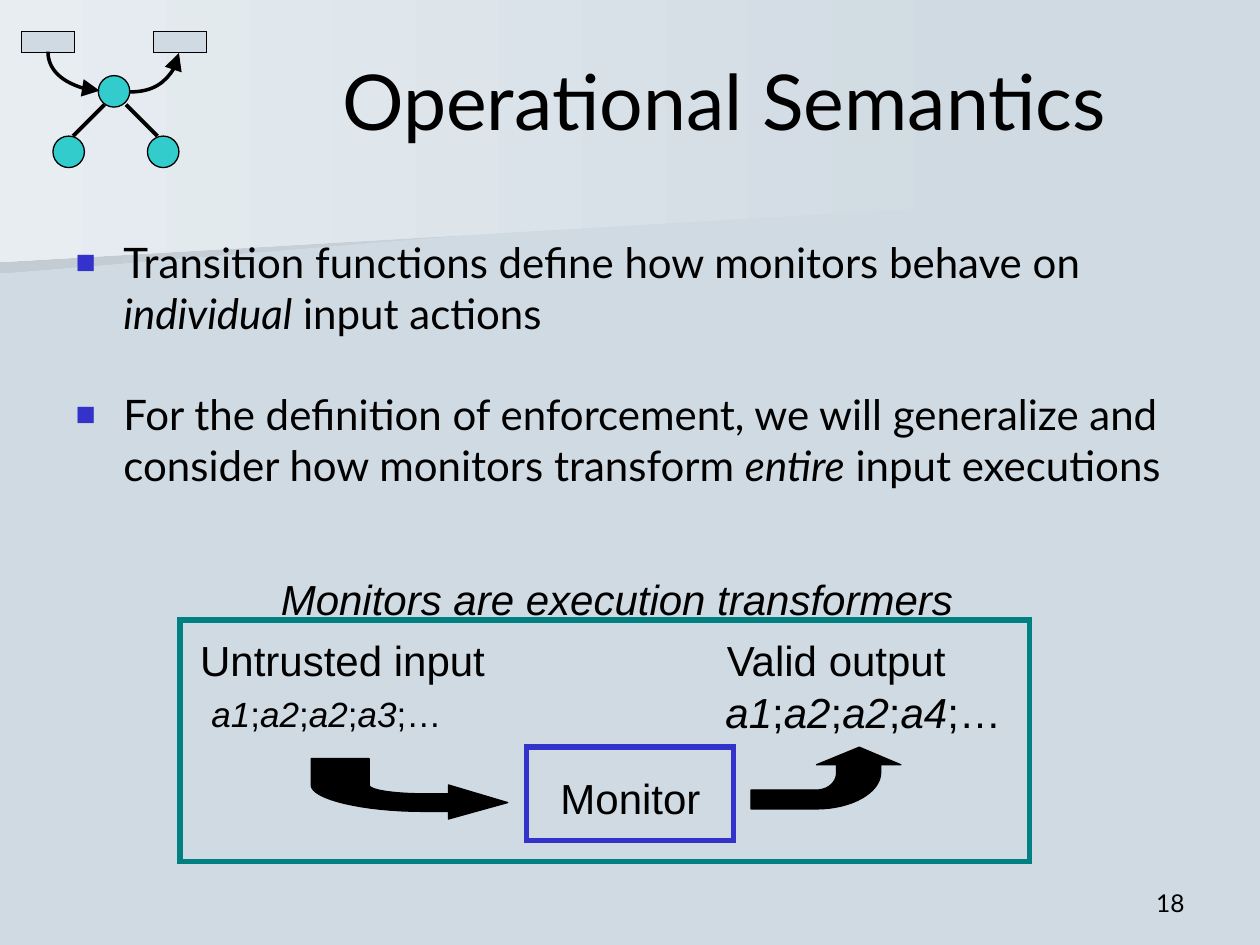
import pptx
import pptx.util
import pptx.dml.color
import pptx.enum.shapes
import pptx.enum.text
import pptx.oxml.ns
import lxml.etree

Inches = pptx.util.Inches
Pt = pptx.util.Pt
qn = pptx.oxml.ns.qn
SHAPE = pptx.enum.shapes.MSO_SHAPE
CONNECTOR = pptx.enum.shapes.MSO_CONNECTOR
ALIGN = pptx.enum.text.PP_ALIGN
ANCHOR = pptx.enum.text.MSO_ANCHOR
FIT = pptx.enum.text.MSO_AUTO_SIZE

COLORS = {"back": "D0DAE2", "light": "E7EDF1", "shade": "C3CCD3", "node": "33CCCC",
          "ink": "000000", "frame": "008080", "accent": "3333CC"}

INPUT_ARROW = [(0, 0), (0, 0.21), (0, 0.32, 0.4, 0.42, 0.9, 0.42), (1.09, 0.42),
               (1.09, 0.48), (1.56, 0.35), (1.09, 0.21), (1.09, 0.28), (0.9, 0.28),
               (0.65, 0.28, 0.46, 0.25, 0.46, 0.21), (0.46, 0)]
OUTPUT_ARROW = [(0, 0.49), (0.52, 0.49), (0.8, 0.49, 1.03, 0.36, 1.03, 0.2), (1.03, 0.14),
                (1.19, 0.14), (0.86, 0), (0.52, 0.14), (0.68, 0.14), (0.68, 0.2),
                (0.68, 0.28, 0.61, 0.34, 0.52, 0.34), (0, 0.34)]


def rgb(name):
    return pptx.dml.color.RGBColor.from_string(COLORS[name])


def set_runs(p, text, size, font):
    for i, part in enumerate(text.split("*")):
        if part:
            r = p.add_run()
            r.text = part
            r.font.size = Pt(size)
            r.font.name = font
            r.font.italic = i % 2 == 1
            r.font.color.rgb = rgb("ink")


def place(sp, x, y, w, h):
    sp.left, sp.top, sp.width, sp.height = (Inches(v) for v in (x, y, w, h))


def add_box(slide, kind, x, y, w, h, fill, line="ink", width=0.75):
    sp = slide.shapes.add_shape(kind, Inches(x), Inches(y), Inches(w), Inches(h))
    sp.shadow.inherit = False
    if fill:
        sp.fill.solid()
        sp.fill.fore_color.rgb = rgb(fill)
    else:
        sp.fill.background()
    sp.line.color.rgb = rgb(line)
    sp.line.width = Pt(width)
    ln = sp._element.spPr.find(qn("a:ln"))
    lxml.etree.SubElement(ln, qn("a:miter"), lim="800000")


def add_line(slide, kind, x1, y1, x2, y2, width):
    sp = slide.shapes.add_connector(kind, Inches(x1), Inches(y1), Inches(x2), Inches(y2))
    sp.line.color.rgb = rgb("ink")
    sp.line.width = Pt(width)
    lxml.etree.SubElement(sp._element.spPr, qn("a:effectLst"))
    return sp


def add_curve(slide, x1, y1, x2, y2, turn=0):
    sp = add_line(slide, CONNECTOR.CURVE, x1, y1, x2, y2, 2)
    spPr = sp._element.spPr
    spPr.find(qn("a:prstGeom")).set("prst", "curvedConnector2")
    spPr.find(qn("a:xfrm")).set("rot", str(turn * 60000))
    lxml.etree.SubElement(spPr.find(qn("a:ln")), qn("a:tailEnd"),
                          type="triangle", w="lg", len="lg")


def add_outline(slide, x, y, steps):
    points = [steps[0]]
    for step in steps[1:]:
        if len(step) == 2:
            points.append(step)
            continue
        ctrl = [points[-1], step[:2], step[2:4], step[4:]]
        for i in range(1, 17):
            t = i / 16
            weights = ((1 - t) ** 3, 3 * t * (1 - t) ** 2, 3 * t * t * (1 - t), t ** 3)
            points.append(tuple(sum(k * c[a] for k, c in zip(weights, ctrl)) for a in (0, 1)))
    points = [(Inches(x + px), Inches(y + py)) for px, py in points]
    fb = slide.shapes.build_freeform(*points[0], scale=1.0)
    fb.add_line_segments(points[1:], close=True)
    sp = fb.convert_to_shape()
    sp.shadow.inherit = False
    return sp


def add_label(slide, x, y, w, h, text, size=24):
    sp = slide.shapes.add_textbox(Inches(x), Inches(y), Inches(w), Inches(h))
    tf = sp.text_frame
    tf.word_wrap = True
    tf.auto_size = FIT.NONE
    set_runs(tf.paragraphs[0], text, size, "Arial")


def add_backdrop(slide, x, y):
    slide.background.fill.solid()
    slide.background.fill.fore_color.rgb = rgb("back")
    wedges = [(1.01, [(0, 0), (7.79, 0), (7.78, 0.52), (0, 1.16)], "shade"),
              (0, [(0, 0), (7.92, 0), (7.92, 1.62), (0, 2.08)], "light")]
    for dy, outline, tint in wedges:
        sp = add_outline(slide, x, y + dy, outline)
        sp.line.fill.background()
        sp.fill.gradient()
        sp.fill.gradient_angle = 180
        for stop, name, pos in zip(sp.fill.gradient_stops, ("back", tint), (0, 1)):
            stop.color.rgb = rgb(name)
            stop.position = pos


def add_emblem(slide, x, y):
    for dx, dy in ((0.25, 0.83), (1, 0.83), (0.61, 0.35)):
        add_box(slide, SHAPE.OVAL, x + dx, y + dy, 0.25, 0.25, "node")
    for dx in (0, 1.05):
        add_box(slide, SHAPE.RECTANGLE, x + dx, y, 0.42, 0.17, "back")
    for x1, x2 in ((0.66, 0.41), (0.83, 1.08)):
        add_line(slide, CONNECTOR.STRAIGHT, x + x1, y + 0.58, x + x2, y + 0.83, 2.25)
    add_curve(slide, x + 0.57, y + 0.11, x + 0.26, y + 0.52, 270)
    add_curve(slide, x + 0.86, y + 0.48, x + 1.25, y + 0.17)


def fill_title(slide, x, y, w, h, text):
    sp = slide.shapes.title
    place(sp, x, y, w, h)
    tf = sp.text_frame
    tf.auto_size = FIT.NONE
    tf.vertical_anchor = ANCHOR.MIDDLE
    p = tf.paragraphs[0]
    p.alignment = ALIGN.CENTER
    set_runs(p, text, 44, "Lato")


def fill_body(slide, x, y, w, h, items):
    sp = slide.placeholders[1]
    place(sp, x, y, w, h)
    tf = sp.text_frame
    tf.auto_size = FIT.NONE
    for i, text in enumerate(items):
        p = tf.add_paragraph() if i else tf.paragraphs[0]
        p.space_before = Pt(29.2 if i else 6)
        set_runs(p, text, 24, "Lato")
        pPr = p._p.get_or_add_pPr()
        pPr.set("marL", str(Inches(0.38)))
        pPr.set("indent", str(Inches(-0.38)))
        clr = lxml.etree.SubElement(pPr, qn("a:buClr"))
        lxml.etree.SubElement(clr, qn("a:srgbClr"), val=COLORS["accent"])
        lxml.etree.SubElement(pPr, qn("a:buSzPct"), val="80000")
        lxml.etree.SubElement(pPr, qn("a:buFont"), typeface="Arial")
        lxml.etree.SubElement(pPr, qn("a:buChar"), char="■")


def add_monitor_diagram(slide, x, y, w, h):
    add_box(slide, SHAPE.RECTANGLE, x, y, w, h, None, "frame", 3)
    add_box(slide, SHAPE.RECTANGLE, x + 2.75, y + 1.01, 1.64, 0.74, None, "accent", 3)
    add_label(slide, x + 0.7, y - 0.42, 5.65, 0.5, "*Monitors are execution transformers*")
    add_label(slide, x + 0.06, y + 0.07, 2.55, 0.5, "Untrusted input")
    add_label(slide, x + 0.15, y + 0.53, 2.15, 0.44, "*a1*;*a2*;*a2*;*a3*;…", 20)
    add_label(slide, x + 4.24, y + 0.07, 2.05, 0.5, "Valid output")
    add_label(slide, x + 4.23, y + 0.48, 2.5, 0.5, "*a1*;*a2*;*a2*;*a4*;…")
    add_label(slide, x + 2.92, y + 1.16, 1.4, 0.5, "Monitor")
    for dx, dy, steps in ((1.04, 1.1, INPUT_ARROW), (4.53, 1.01, OUTPUT_ARROW)):
        sp = add_outline(slide, x + dx, y + dy, steps)
        sp.fill.solid()
        sp.fill.fore_color.rgb = rgb("ink")
        sp.line.color.rgb = rgb("ink")
        sp.line.width = Pt(0.75)


def add_page_number(slide, x, y, w, h, number):
    sp = slide.shapes.add_textbox(Inches(x), Inches(y), Inches(w), Inches(h))
    tf = sp.text_frame
    tf.word_wrap = True
    tf.vertical_anchor = ANCHOR.BOTTOM
    p = tf.paragraphs[0]
    p.alignment = ALIGN.RIGHT
    set_runs(p, number, 14, "Lato")


prs = pptx.Presentation()
prs.slide_width, prs.slide_height = Inches(10), Inches(7.5)
s = prs.slides.add_slide(prs.slide_layouts[1])
add_backdrop(s, 0, 0)
add_emblem(s, 0.17, 0.25)
fill_title(s, 2, 0.17, 7.5, 1.25, "Operational Semantics")
fill_body(s, 0.5, 1.83, 9, 3.08, [
    "Transition functions define how monitors behave on *individual* input actions",
    "For the definition of enforcement, we will generalize and consider how monitors "
    "transform *entire* input executions"])
for sp in (s.shapes.title, s.placeholders[1]):
    s.shapes._spTree.append(sp._element)
add_monitor_diagram(s, 1.43, 4.92, 6.74, 1.92)
add_page_number(s, 7.17, 6.83, 2.33, 0.5, "18")
prs.save("out.pptx")
